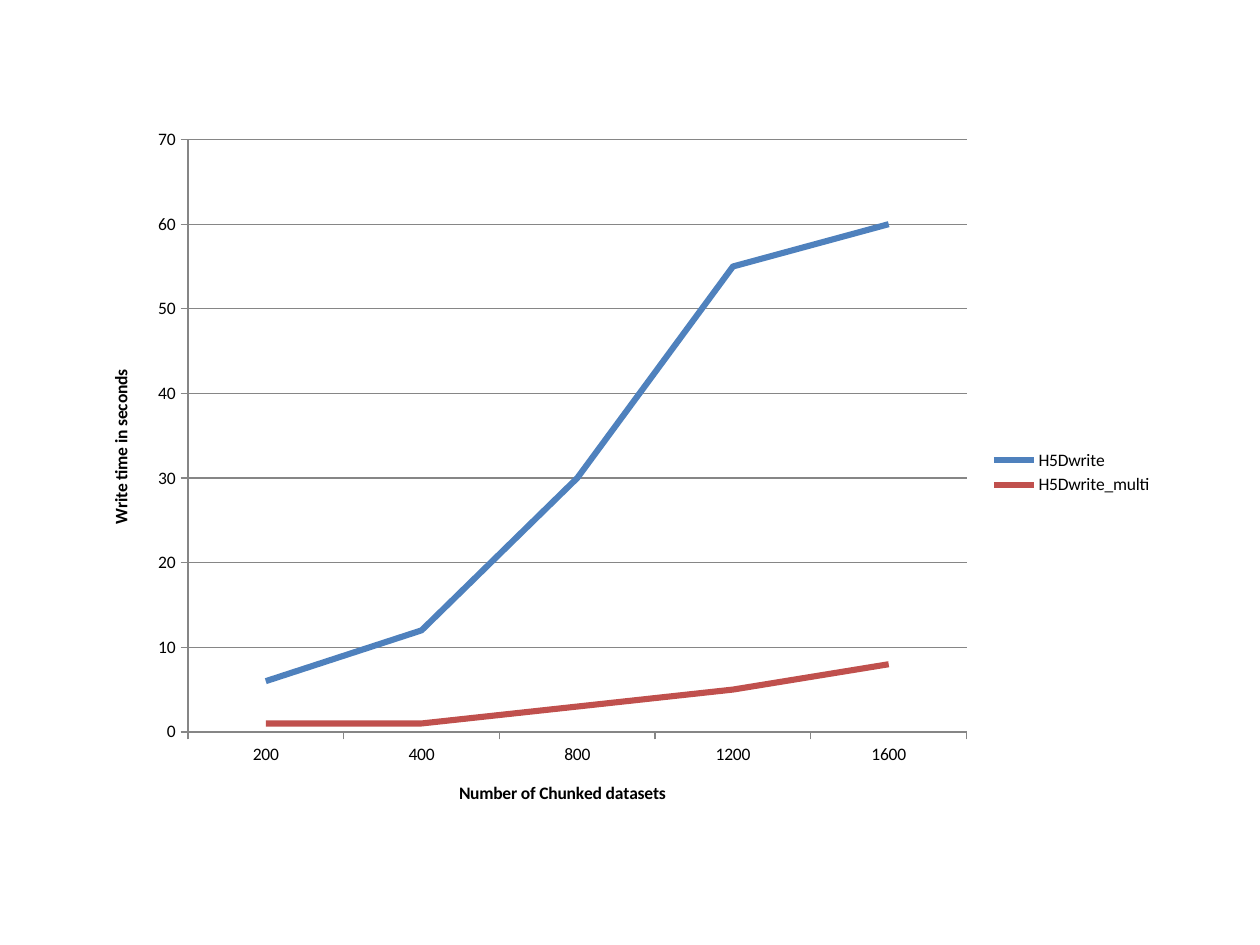
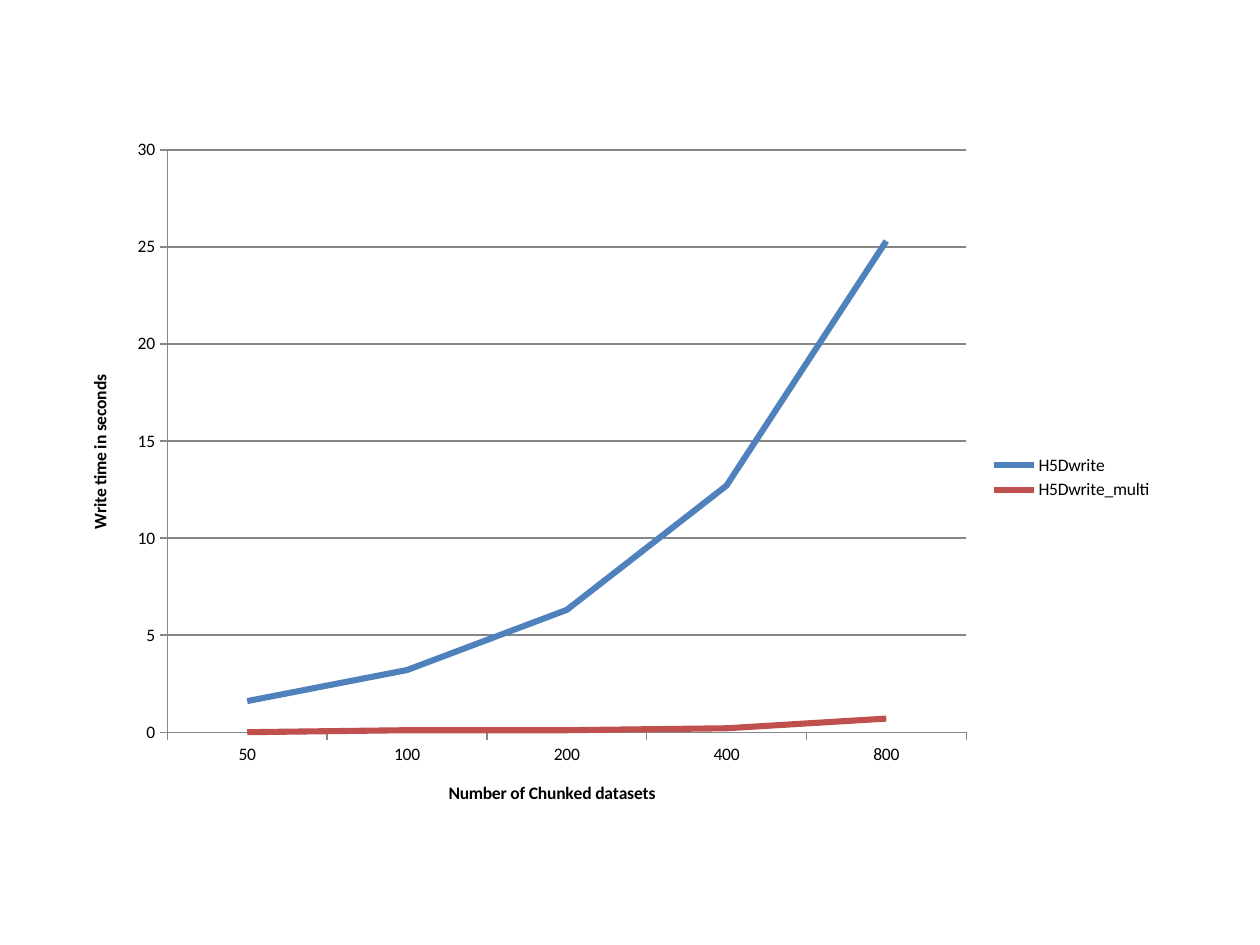
"""Build two slides of line charts that compare dataset write times."""
import pptx
import pptx.chart.data
import pptx.dml.color
import pptx.enum.chart
import pptx.util

PX = 9525
BLACK = "000000"
AXIS_GREY = "868686"
SERIES_COLORS = {"H5Dwrite": "4F81BD", "H5Dwrite_multi": "C0504D"}
CHARTS = [
    {
        "frame": (64, 88, 824, 544),
        "datasets": ["200", "400", "800", "1200", "1600"],
        "times": [(6, 12, 30, 55, 60), (1, 1, 3, 5, 8)],
        "top": 70,
        "step": 10,
    },
    {
        "frame": (48, 96, 840, 536),
        "datasets": ["50", "100", "200", "400", "800"],
        "times": [(1.6, 3.2, 6.3, 12.7, 25.3), (0, 0.1, 0.1, 0.2, 0.7)],
        "top": 30,
        "step": 5,
    },
]


def color(value):
    return pptx.dml.color.RGBColor.from_string(value)


def style_line(line, value, width):
    line.color.rgb = color(value)
    line.width = pptx.util.Pt(width)


deck = pptx.Presentation()
deck.slide_width = 960 * PX
deck.slide_height = 720 * PX

for content in CHARTS:
    page = deck.slides.add_slide(deck.slide_layouts[6])
    data = pptx.chart.data.CategoryChartData()
    data.categories = content["datasets"]
    for name, times in zip(SERIES_COLORS, content["times"]):
        data.add_series(name, times)
    frame = [length * PX for length in content["frame"]]
    chart = page.shapes.add_chart(pptx.enum.chart.XL_CHART_TYPE.LINE, *frame, data).chart
    chart.has_title = False
    chart.font.name = "Calibri"
    chart.font.size = pptx.util.Pt(10)
    chart.font.color.rgb = color(BLACK)

    chart.has_legend = True
    chart.legend.position = pptx.enum.chart.XL_LEGEND_POSITION.RIGHT
    chart.legend.include_in_layout = False

    chart.plots[0].vary_by_categories = False
    for series in chart.plots[0].series:
        series.smooth = False
        style_line(series.format.line, SERIES_COLORS[series.name], 3.5)

    axis_titles = [
        (chart.category_axis, "Number of Chunked datasets"),
        (chart.value_axis, "Write time in seconds"),
    ]
    for axis, title in axis_titles:
        style_line(axis.format.line, AXIS_GREY, 0.75)
        axis.major_tick_mark = pptx.enum.chart.XL_TICK_MARK.OUTSIDE
        axis.minor_tick_mark = pptx.enum.chart.XL_TICK_MARK.NONE
        para = axis.axis_title.text_frame.paragraphs[0]
        para.text = title
        para.font.name = "Calibri"
        para.font.size = pptx.util.Pt(10)
        para.font.bold = True
        para.font.color.rgb = color(BLACK)

    chart.category_axis.has_major_gridlines = False
    chart.value_axis.has_major_gridlines = True
    style_line(chart.value_axis.major_gridlines.format.line, AXIS_GREY, 0.75)
    chart.value_axis.minimum_scale = 0
    chart.value_axis.maximum_scale = content["top"]
    chart.value_axis.major_unit = content["step"]

deck.save("out.pptx")
